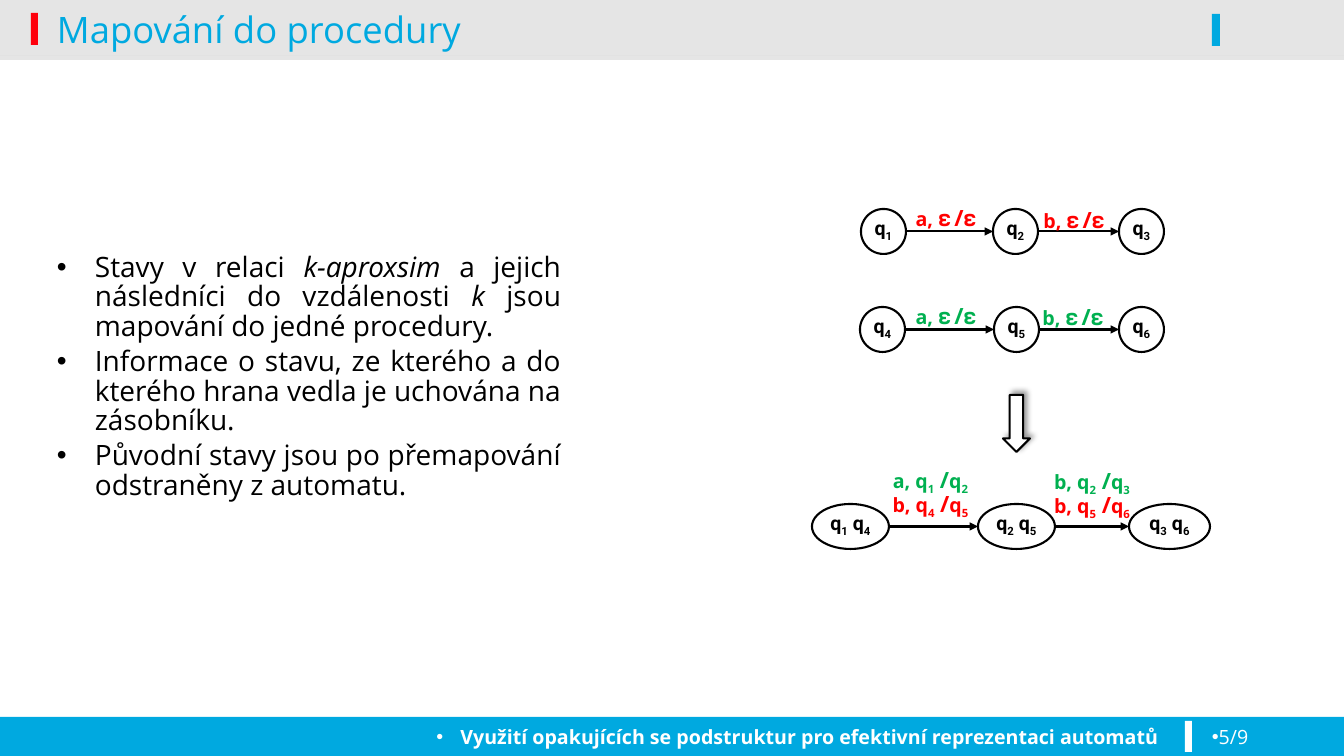
from lxml.etree import SubElement
from pptx import Presentation
from pptx.dml.color import RGBColor
from pptx.enum.shapes import MSO_CONNECTOR as CONN, MSO_SHAPE as SHAPE
from pptx.enum.text import MSO_ANCHOR as ANCHOR, PP_ALIGN as ALIGN
from pptx.oxml.ns import qn
from pptx.util import Emu, Pt

PX = 914400 / 100.8
COLORS = {"blue": "00A9E0", "mark": "FE000C", "red": "FF0000", "green": "00B050",
          "black": "000000", "white": "FFFFFF"}
SANS, ROBOTO = "Open Sans", "Roboto"
EPS = "\U0001D6C6"


def px(*values):
    """Turn pixels into EMU."""
    return [Emu(round(v * PX)) for v in values]


def rgb(name):
    """Look up a named colour."""
    return RGBColor.from_string(COLORS[name])


def sub(parent, tag, **attrs):
    """Append one XML child with attributes."""
    return SubElement(parent, qn(tag), {k: str(v) for k, v in attrs.items()})


def add_run(p, text, color, size=14, name=SANS, low=False, **fmt):
    """Add a formatted run, lowered as an index if asked."""
    r = p.add_run()
    r.text = text
    for key, value in {"size": Pt(size), "name": name, **fmt}.items():
        setattr(r.font, key, value)
    r.font.color.rgb = rgb(color)
    if low:
        r.font._element.set("baseline", "-25000")


def add_bullet(p, indent):
    """Give a paragraph a round bullet with a hanging indent in pixels."""
    pPr = p._p.get_or_add_pPr()
    width = px(indent)[0]
    pPr.set("marL", str(width))
    pPr.set("indent", str(-width))
    sub(pPr, "a:buFont", typeface="Arial")
    sub(pPr, "a:buChar", char="•")


def add_text(slide, box, wrap=True, anchor=ANCHOR.TOP):
    """Add an empty text box and return its text frame."""
    tf = slide.shapes.add_textbox(*px(*box)).text_frame
    tf.word_wrap, tf.vertical_anchor = wrap, anchor
    return tf


def add_shape(slide, kind, box, fill, line=None, alpha=None):
    """Add a filled preset shape, outlined only if a line colour is given."""
    sp = slide.shapes.add_shape(kind, *px(*box))
    sp.shadow.inherit = False
    sp.fill.solid()
    sp.fill.fore_color.rgb = rgb(fill)
    if alpha:
        color = sp._element.spPr.find(qn("a:solidFill"))[0]
        sub(color, "a:alpha", val=alpha * 1000)
    if line:
        sp.line.color.rgb, sp.line.width = rgb(line), Pt(1.5)
    else:
        sp.line.fill.background()
    return sp


def add_header(slide, box, title):
    """Draw the grey band, its two marks and the title."""
    x, y, w, h = box
    for top, height in ((0, h - 4), (h - 4, 4)):
        add_shape(slide, SHAPE.RECTANGLE, (x, y + top, w, height), "black", alpha=10)
    for left, top, width, fill in ((31, 13, 7, "mark"), (1212, 14, 8, "blue")):
        add_shape(slide, SHAPE.RECTANGLE, (x + left, y + top, width, 32), fill)
    tf = add_text(slide, (x + 47, y - 11, 1159, 80), anchor=ANCHOR.MIDDLE)
    add_run(tf.paragraphs[0], title, "blue", 26)


def add_footer(slide, box, topic, page):
    """Draw the blue band with the topic, a divider and the page number."""
    x, y, w, h = box
    add_shape(slide, SHAPE.RECTANGLE, box, "blue")
    add_shape(slide, SHAPE.RECTANGLE, (x + 1185, y + 4, 7, 31), "white")
    parts = ((16, 1153, topic, ALIGN.RIGHT, 24, True),
             (1202, 122, page, ALIGN.LEFT, 0, False))
    for left, width, text, align, indent, bold in parts:
        p = add_text(slide, (x + left, y + 3, width, 36)).paragraphs[0]
        p.alignment = align
        add_bullet(p, indent)
        add_run(p, text, "white", bold=bold)


def add_body(slide, box, items):
    """Write justified bullets; every second piece of an item is italic."""
    tf = add_text(slide, box, anchor=ANCHOR.MIDDLE)
    for i, pieces in enumerate(items):
        p = tf.add_paragraph() if i else tf.paragraphs[0]
        p.alignment, p.line_spacing, p.space_before = ALIGN.JUSTIFY, 0.88, Pt(4)
        add_bullet(p, 38)
        for j, piece in enumerate(pieces):
            add_run(p, piece, "black", 20, italic=j % 2 == 1)


def add_state(slide, box, indices):
    """Draw a state ellipse naming one q for each index."""
    sp = add_shape(slide, SHAPE.OVAL, box, "white", "black")
    tf = sp.text_frame
    tf.margin_left = tf.margin_right = 0
    tf.word_wrap, tf.vertical_anchor = True, ANCHOR.BOTTOM
    p = tf.paragraphs[0]
    p.alignment, p.space_before = ALIGN.CENTER, Pt(2.8)
    for i, index in enumerate(indices):
        add_run(p, " q" if i else "q", "black", name=ROBOTO, bold=True)
        add_run(p, index, "black", name=ROBOTO, bold=True, low=True)


def add_edge(slide, x1, x2, y):
    """Draw a curved connector with an arrowhead at its end."""
    cxn = slide.shapes.add_connector(CONN.CURVE, *px(x1, y, x2, y))
    cxn.line.color.rgb, cxn.line.width = rgb("black"), Pt(1.5)
    sub(cxn.line._get_or_add_ln(), "a:tailEnd", type="triangle")
    sub(cxn._element.spPr, "a:effectLst")


def add_label(slide, box, lines):
    """Write edge labels, each line a colour and its runs."""
    tf = add_text(slide, box, wrap=False)
    for i, (color, runs) in enumerate(lines):
        p = tf.add_paragraph() if i else tf.paragraphs[0]
        p.alignment, p.line_spacing = ALIGN.CENTER, 0.8
        for text, fmt in runs:
            add_run(p, text, color, bold=True, **fmt)


def empty_move(symbol):
    """Runs of a label that leaves the stack alone."""
    big = {"size": 16}
    return [(symbol + ", ", {}), (EPS, big), (" ", {"size": 9}), ("/" + EPS, big)]


def stack_move(symbol, old, new):
    """Runs of a label that swaps one state for another on the stack."""
    low = {"low": True}
    return [(symbol + ", q", {}), (old, low), (" ", {"size": 16, "name": ROBOTO}),
            ("/", {"size": 16}), ("q", {}), (new, low)]


def add_automata(slide, box):
    """Draw two automata, the arrow down and the merged automaton."""
    x, y, w, h = box
    rows = ((5, ((49, 45, "1"), (181, 45, "2"), (307, 45, "3"))),
            (103, ((48, 45, "4"), (182, 45, "5"), (307, 45, "6"))),
            (300, ((0, 77, "14"), (166, 77, "25"), (317, 81, "36"))))
    for top, states in rows:
        for left, width, indices in states:
            add_state(slide, (x + left, y + top, width, 45), indices)
        for (left, width, _), (after, _, _) in zip(states, states[1:]):
            add_edge(slide, x + left + width, x + after, y + top + 22.5)

    labels = ((92, 0, 84, 64, [("red", empty_move("a"))]),
              (220, 2, 84, 32, [("red", empty_move("b"))]),
              (92, 98, 84, 32, [("green", empty_move("a"))]),
              (219, 99, 84, 32, [("green", empty_move("b"))]),
              (61, 261, 115, 76, [("green", stack_move("a", "1", "2")),
                                  ("red", stack_move("b", "4", "5"))]),
              (224, 262, 112, 76, [("green", stack_move("b", "2", "3")),
                                   ("red", stack_move("b", "5", "6"))]))
    for left, top, width, height, lines in labels:
        add_label(slide, (x + left, y + top, width, height), lines)

    arrow = add_shape(slide, SHAPE.DOWN_ARROW, (x + 191, y + 191, 27, 57),
                      "white", "black")
    effects = arrow._element.spPr.find(qn("a:effectLst"))
    shadow = sub(effects, "a:outerShdw", blurRad=Pt(4), dist=Pt(3), dir=315 * 60000)
    color = sub(shadow, "a:srgbClr", val=COLORS["black"])
    sub(color, "a:alpha", val=40000)


prs = Presentation()
prs.slide_width, prs.slide_height = px(1344, 756)
slide = prs.slides.add_slide(prs.slide_layouts[6])
add_header(slide, (0, 0, 1344, 60), "Mapování do procedury")
add_footer(slide, (0, 717, 1344, 39),
           "Využití opakujících se podstruktur pro efektivní reprezentaci automatů", "5/9")
add_body(slide, (47, 231, 524, 293), (
    ("Stavy v relaci ", "k-aproxsim", " a jejich následníci do vzdálenosti ", "k",
     " jsou mapování do jedné procedury."),
    ("Informace o stavu, ze kterého a do kterého hrana vedla je uchována na zásobníku.",),
    ("Původní stavy jsou po přemapování odstraněny z automatu.",)))
add_automata(slide, (812, 204, 398, 346))
prs.save("out.pptx")
